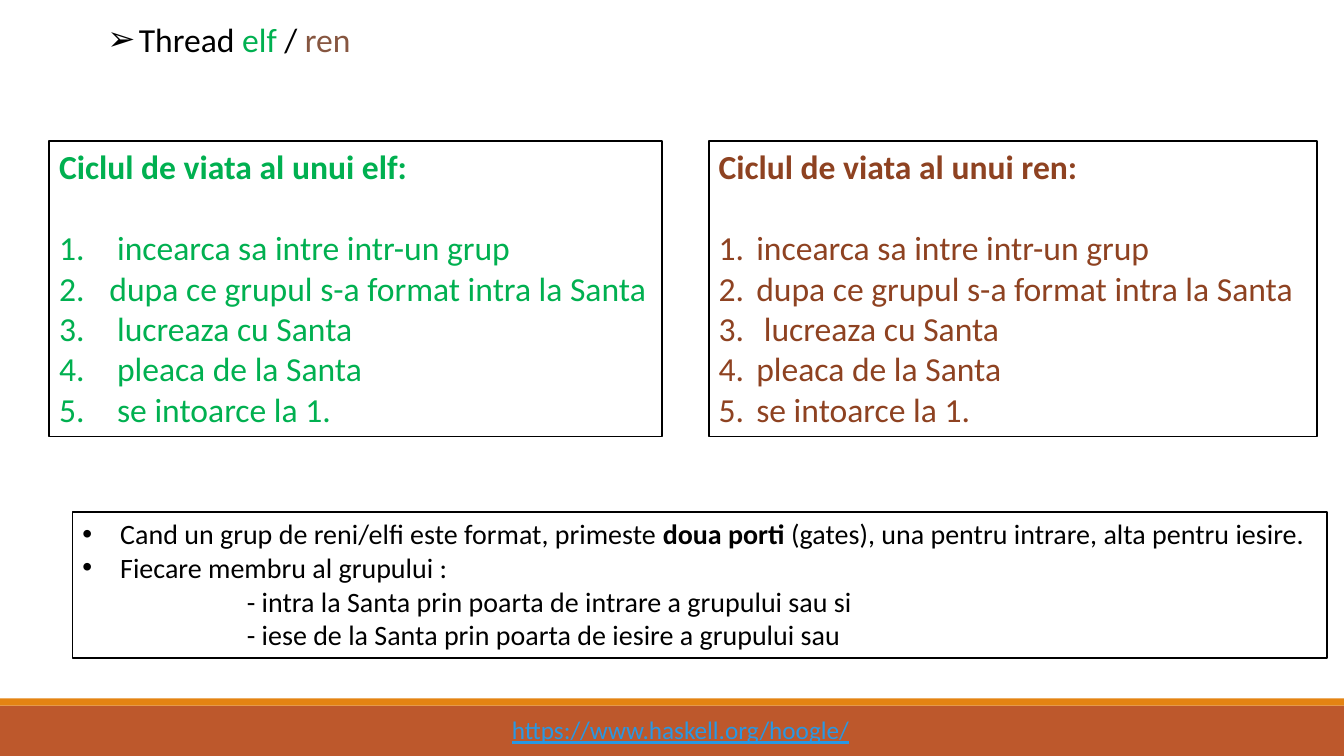
import pptx
import pptx.dml.color
import pptx.enum.shapes
import pptx.enum.text
import pptx.oxml.ns
import pptx.util
from lxml import etree
from pptx.util import Cm

COLORS = {
    "black": "000000", "white": "FFFFFF", "elf": "00B050", "ren": "8E4221",
    "ren_title": "865640", "rust": "BD582C", "orange": "E48312", "link": "2998E3",
}
WIDTH, HEIGHT = Cm(33.87), Cm(19.05)


def color(name):
    """Return the named colour."""
    return pptx.dml.color.RGBColor.from_string(COLORS[name])


def add_box(page, left, top, width, height, fill=None, line=None):
    """Add a rectangle whose text starts at the top left."""
    box = page.shapes.add_shape(
        pptx.enum.shapes.MSO_SHAPE.RECTANGLE, left, top, width, height)
    box.shadow.inherit = False
    if fill:
        box.fill.solid()
        box.fill.fore_color.rgb = color(fill)
    else:
        box.fill.background()
    if line:
        box.line.color.rgb = color(line)
        box.line.width = pptx.util.Pt(1.25)
    else:
        box.line.fill.background()
    frame = box.text_frame
    frame.word_wrap = True
    frame.margin_right = 0
    frame.vertical_anchor = pptx.enum.text.MSO_ANCHOR.TOP
    return box


def add_bullet(para, indent, tag, **attributes):
    """Give a paragraph a hanging bullet or number."""
    properties = para._p.get_or_add_pPr()
    properties.set("marL", str(indent))
    properties.set("indent", str(-indent))
    if tag == "buChar":
        font = etree.SubElement(properties, pptx.oxml.ns.qn("a:buFont"))
        font.set("typeface", "Arial")
    etree.SubElement(properties, pptx.oxml.ns.qn("a:" + tag), attributes)


def add_para(box, first=False, bullet=None, number=False, indent=0, before=0):
    """Add a left-aligned paragraph, or take the first one of the box."""
    frame = box.text_frame
    para = frame.paragraphs[0] if first else frame.add_paragraph()
    para.alignment = pptx.enum.text.PP_ALIGN.LEFT
    if bullet:
        add_bullet(para, indent, "buChar", char=bullet)
    elif number:
        add_bullet(para, indent, "buAutoNum", type="arabicPeriod")
    elif indent:
        para._p.get_or_add_pPr().set("marL", str(indent))
    if before:
        para.space_before = pptx.util.Pt(before)
    return para


def add_span(para, text, size=24, ink="black", bold=False, underline=False):
    """Add a formatted run of text."""
    span = para.add_run()
    span.text = text
    span.font.name = "Calibri"
    span.font.size = pptx.util.Pt(size)
    span.font.color.rgb = color(ink)
    span.font.bold = bold
    span.font.underline = underline


def add_life_cycle(page, left, width, ink, title, steps, indent):
    """Add a framed heading with its numbered steps."""
    box = add_box(page, left, Cm(3.56), width, Cm(7.44), "white", "black")
    add_span(add_para(box, first=True), title, ink=ink, bold=True)
    for index, step in enumerate(steps):
        para = add_para(box, number=True, indent=indent, before=0 if index else 29)
        add_span(para, step, ink=ink)


def add_title(page):
    """Add the bulleted slide title."""
    box = add_box(page, Cm(2.46), Cm(0.36), Cm(6.71), Cm(1.27))
    para = add_para(box, first=True, bullet="➢", indent=Cm(0.79))
    for text, ink in (("Thread ", "black"), ("elf ", "elf"),
                      ("/ ", "black"), ("ren", "ren_title")):
        add_span(para, text, ink=ink)


def add_gates(page):
    """Add the framed explanation of the two gates."""
    box = add_box(page, Cm(1.83), Cm(12.9), Cm(31.62), Cm(3.68), line="black")
    para = add_para(box, first=True, bullet="•", indent=Cm(0.95))
    add_span(para, "Cand un grup de reni/elfi este format, primeste ", 20)
    add_span(para, "doua porti ", 20, bold=True)
    add_span(para, "(gates), una pentru intrare, alta pentru iesire.", 20)
    para = add_para(box, bullet="•", indent=Cm(0.95))
    add_span(para, "Fiecare membru al grupului :", 20)
    for text in ("- intra la Santa prin poarta de intrare a grupului sau si",
                 "- iese de la Santa prin poarta de iesire a grupului sau"):
        add_span(add_para(box, indent=Cm(4.14)), text, 20)


def add_footer(page):
    """Add the two footer bars and the web address."""
    add_box(page, 0, Cm(17.78), WIDTH, Cm(1.27), "rust")
    add_box(page, 0, Cm(17.6), WIDTH, Cm(0.18), "orange")
    box = add_box(page, Cm(12.65), Cm(17.88), Cm(9.12), Cm(1.02))
    add_span(add_para(box, first=True), "https://www.haskell.org/hoogle/",
             18, "link", underline=True)


def main():
    """Build the slide and save it."""
    deck = pptx.Presentation()
    deck.slide_width, deck.slide_height = WIDTH, HEIGHT
    page = deck.slides.add_slide(deck.slide_layouts[6])
    add_footer(page)
    add_life_cycle(
        page, Cm(1.24), Cm(15.44), "elf", "Ciclul de viata al unui elf:",
        (" incearca sa intre intr-un grup",
         "dupa ce grupul s-a format intra la Santa",
         " lucreaza cu Santa", " pleaca de la Santa", " se intoarce la 1."),
        Cm(1.27))
    add_life_cycle(
        page, Cm(17.86), Cm(15.34), "ren", "Ciclul de viata al unui ren:",
        ("incearca sa intre intr-un grup",
         "dupa ce grupul s-a format intra la Santa",
         " lucreaza cu Santa", "pleaca de la Santa", "se intoarce la 1."),
        Cm(0.95))
    add_title(page)
    add_gates(page)
    deck.save("out.pptx")


if __name__ == "__main__":
    main()
